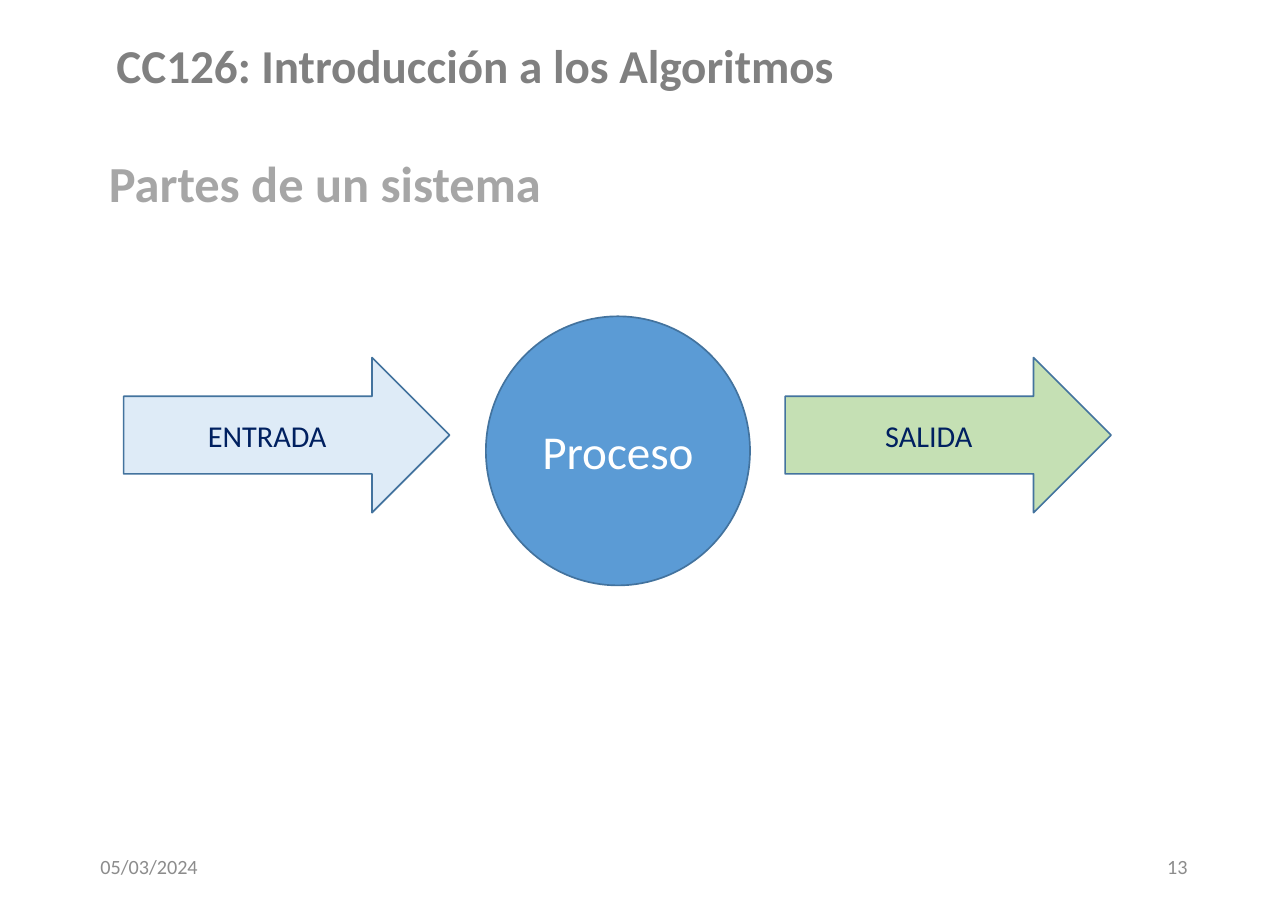
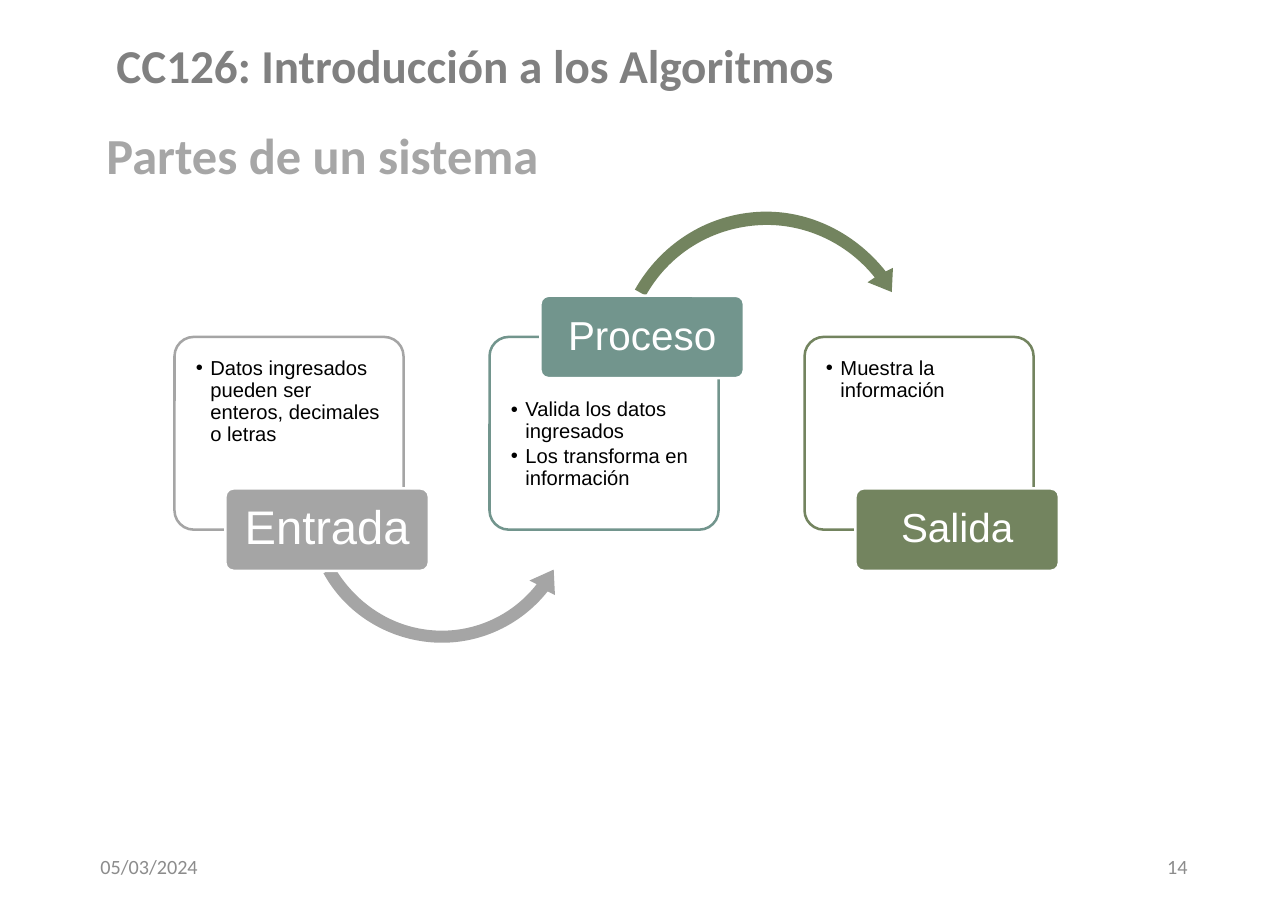
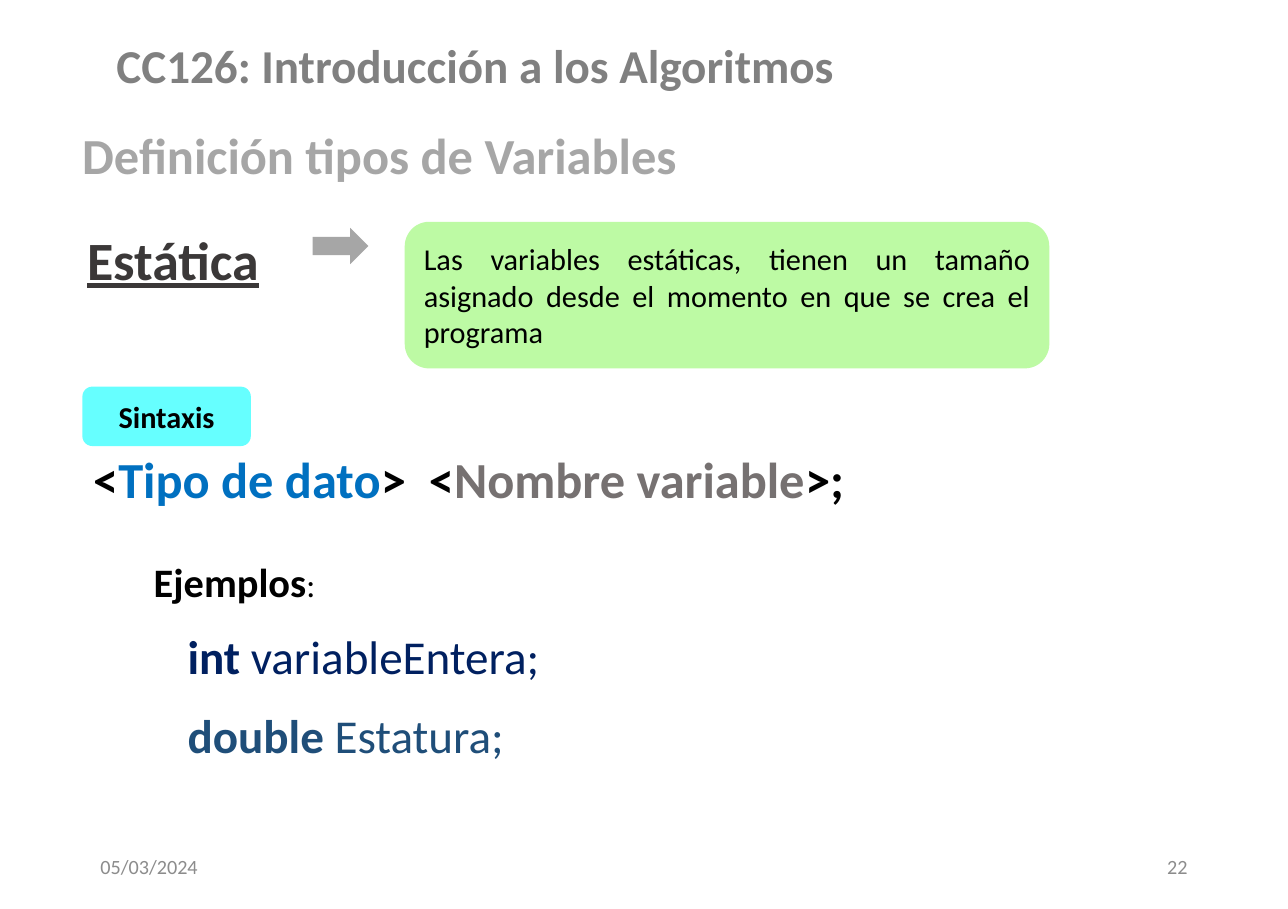
from dataclasses import dataclass
from typing import NamedTuple

from lxml import etree
from pptx import Presentation
from pptx.dml.color import RGBColor
from pptx.enum import shapes, text
from pptx.oxml import ns
from pptx.util import Inches, Pt

BLACK = RGBColor(0x00, 0x00, 0x00)
WHITE = RGBColor(0xFF, 0xFF, 0xFF)
HEAD = RGBColor(0x80, 0x80, 0x80)
TITLE = RGBColor(0xA6, 0xA6, 0xA6)
FOOT = RGBColor(0x8C, 0x8C, 0x8C)
DARK = RGBColor(0x3B, 0x38, 0x38)
NAVY = RGBColor(0x00, 0x20, 0x60)
EDGE = RGBColor(0x43, 0x73, 0x9E)
BLUE = RGBColor(0x5B, 0x9B, 0xD5)
PALE = RGBColor(0xDE, 0xEB, 0xF7)
LEAF = RGBColor(0xC5, 0xE0, 0xB4)
GREY = RGBColor(0xA5, 0xA5, 0xA5)
TEAL = RGBColor(0x72, 0x95, 0x8D)
OLIVE = RGBColor(0x73, 0x84, 0x5F)
LIME = RGBColor(0xBD, 0xFA, 0xA4)
CYAN = RGBColor(0x66, 0xFF, 0xFF)
TYPE = RGBColor(0x00, 0x70, 0xC0)
NAME = RGBColor(0x76, 0x71, 0x71)
STEEL = RGBColor(0x1F, 0x4E, 0x79)

KIND = shapes.MSO_SHAPE
ALIGN = text.PP_ALIGN
MID = text.MSO_ANCHOR.MIDDLE
TOP = text.MSO_ANCHOR.TOP


class Box(NamedTuple):
    x: float
    y: float
    w: float
    h: float


class Run(NamedTuple):
    words: str
    color: RGBColor = BLACK
    bold: bool = True
    size: float | None = None


@dataclass(frozen=True)
class Style:
    size: float
    color: RGBColor
    bold: bool = False
    align: ALIGN = ALIGN.LEFT
    face: str = "Calibri"
    line: bool = False
    lead: float = 1.0


@dataclass(frozen=True)
class Row:
    """A paragraph of mixed runs."""
    runs: list[Run]
    size: float
    left: float
    hang: float = 0
    lead: float = 0.9
    before: float = 0


@dataclass(frozen=True)
class Arc:
    """A curved arrow: single points are lines, triples are cubic curves."""
    box: Box
    color: RGBColor
    start: tuple
    steps: list[tuple]


@dataclass(frozen=True)
class Card:
    label: str
    size: float
    color: RGBColor
    notes: list[str]
    high: bool = False
    arc: Arc | None = None


TITLES = Style(30, TITLE, True, lead=0.9)
SMALL = Style(12, FOOT)

CARDS = [
    Card("Entrada", 28, GREY,
         ["Datos ingresados pueden ser enteros, decimales o letras"],
         arc=Arc(Box(2.45, 2.96, 2.38, 2.42), GREY, (2.67, 4.73), [
             ((2.76, 4.68),),
             ((2.93, 4.97), (3.22, 5.17), (3.56, 5.2)),
             ((3.89, 5.23), (4.22, 5.09), (4.43, 4.82)),
             ((4.37, 4.79),), ((4.57, 4.7),), ((4.58, 4.91),), ((4.52, 4.88),),
             ((4.29, 5.17), (3.93, 5.33), (3.56, 5.3)),
             ((3.19, 5.27), (2.85, 5.06), (2.67, 4.73))])),
    Card("Proceso", 24, TEAL,
         ["Valida los datos ingresados", "Los transforma en información"],
         high=True,
         arc=Arc(Box(5.01, 1.68, 2.62, 2.66), OLIVE, (5.24, 2.39), [
             ((5.45, 2.02), (5.82, 1.78), (6.24, 1.75)),
             ((6.65, 1.72), (7.05, 1.91), (7.31, 2.24)),
             ((7.37, 2.21),), ((7.36, 2.41),), ((7.16, 2.33),), ((7.22, 2.29),),
             ((6.98, 1.99), (6.61, 1.83), (6.24, 1.86)),
             ((5.86, 1.89), (5.52, 2.1), (5.33, 2.44))])),
    Card("Salida", 24, OLIVE, ["Muestra la información"]),
]

ROWS = [
    Row([Run("<"), Run("Tipo de dato", TYPE), Run(">  <"),
         Run("Nombre variable", NAME), Run(">;")], 30, 0.4, -0.28),
    Row([Run("Ejemplos"), Run(":", bold=False, size=20)],
        24, 0.9, -0.28, before=32),
    Row([Run("int ", NAVY), Run("variableEntera;", NAVY, False)],
        28, 0.9, lead=1.2, before=6),
    Row([Run("double", STEEL), Run(" Estatura;", STEEL, False)],
        28, 0.9, lead=1.2, before=6),
]


def indent(para, left: float, hang: float = 0) -> None:
    props = para._p.get_or_add_pPr()
    props.set("marL", str(Inches(left)))
    props.set("indent", str(Inches(hang)))


def bullet(para) -> None:
    indent(para, 0.12, -0.12)
    props = para._p.get_or_add_pPr()
    for tag, key, value in (("a:buFont", "typeface", "Arial"),
                            ("a:buChar", "char", "•")):
        mark = etree.Element(ns.qn(tag), {key: value})
        props.insert_element_before(mark, "a:tabLst", "a:defRPr", "a:extLst")


def dress(para, style: Style) -> None:
    para.alignment = style.align
    para.line_spacing = style.lead
    font = para.font
    font.name, font.size = style.face, Pt(style.size)
    font.bold, font.underline = style.bold, style.line
    font.color.rgb = style.color


def fill(shape, lines: list[str], style: Style, anchor=MID) -> list:
    """Write one paragraph per line and return the paragraphs."""
    frame = shape.text_frame
    frame.word_wrap = True
    frame.vertical_anchor = anchor
    frame.text = "\n".join(lines)
    for para in frame.paragraphs:
        dress(para, style)
    return list(frame.paragraphs)


def inset(shape, side: float, top: float) -> None:
    frame = shape.text_frame
    frame.margin_left = frame.margin_right = Inches(side)
    frame.margin_top = Inches(top)


def label(slide, box: Box, words: str, style: Style, anchor=MID):
    shape = slide.shapes.add_textbox(*map(Inches, box))
    return fill(shape, [words], style, anchor)[0]


def paint(shape, color: RGBColor, edge: RGBColor | None, width: float) -> None:
    shape.shadow.inherit = False
    shape.fill.solid()
    shape.fill.fore_color.rgb = color
    if edge is None:
        shape.line.fill.background()
    else:
        shape.line.color.rgb = edge
        shape.line.width = Pt(width)


def block(slide, kind, box: Box, color: RGBColor,
          edge: RGBColor | None = None, width: float = 1):
    shape = slide.shapes.add_shape(kind, *map(Inches, box))
    paint(shape, color, edge, width)
    return shape


def sweep(slide, arc: Arc) -> None:
    """Build a freeform over the arrow's box, then trace its true curves."""
    left, top, wide, tall = map(Inches, arc.box)
    form = slide.shapes.build_freeform(left, top)
    form.add_line_segments([(left + wide, top), (left + wide, top + tall),
                            (left, top + tall)])
    shape = form.convert_to_shape()
    trace = next(shape._element.iter(ns.qn("a:path")))
    for old in list(trace):
        trace.remove(old)

    def put(tag: str, dots: tuple) -> None:
        move = etree.SubElement(trace, ns.qn(tag))
        for x, y in dots:
            etree.SubElement(move, ns.qn("a:pt"), x=str(Inches(x) - left),
                             y=str(Inches(y) - top))

    put("a:moveTo", (arc.start,))
    for step in arc.steps:
        put("a:cubicBezTo" if len(step) == 3 else "a:lnTo", step)
    put("a:close", ())
    paint(shape, arc.color, None, 0)


def page(deck, title: str, x: float, y: float, number: int):
    """Add a slide with the course heading, its title and the footers."""
    slide = deck.slides.add_slide(deck.slide_layouts[6])
    label(slide, Box(0.56, 0.11, 6.72, 0.85),
          "CC126: Introducción a los Algoritmos",
          Style(28, HEAD, True, ALIGN.CENTER))
    indent(label(slide, Box(x, y, 6.82, 0.67), title, TITLES, TOP), 0.07)
    label(slide, Box(0.73, 6.95, 2.39, 0.4), "05/03/2024", SMALL)
    foot = label(slide, Box(7.51, 6.95, 2.39, 0.4), str(number), SMALL)
    foot.alignment = ALIGN.RIGHT
    return slide


def system(deck) -> None:
    slide = page(deck, "Partes de un sistema", 0.73, 1.26, 13)
    for x, words, color in ((1.02, "ENTRADA", PALE), (6.48, "SALIDA", LEAF)):
        arrow = block(slide, KIND.RIGHT_ARROW, Box(x, 2.95, 2.69, 1.28), color, EDGE)
        fill(arrow, [words], Style(18, NAVY, align=ALIGN.CENTER))
    disc = block(slide, KIND.OVAL, Box(4.01, 2.61, 2.18, 2.22), BLUE, EDGE)
    fill(disc, ["Proceso"], Style(28, WHITE, align=ALIGN.CENTER))


def draw(slide, card: Card, x: float) -> None:
    frame = block(slide, KIND.ROUNDED_RECTANGLE, Box(x, 2.78, 1.89, 1.59),
                  WHITE, card.color, 1.5)
    frame.adjustments[0] = 0.1
    inset(frame, 0.13, 0.47 if card.high else 0.13)
    notes = fill(frame, card.notes, Style(12, BLACK, face="Arial", lead=0.9), TOP)
    for i, para in enumerate(notes):
        bullet(para)
        para.space_before = Pt(1.8 if i else 0)
    if card.arc:
        sweep(slide, card.arc)
    badge = block(slide, KIND.ROUNDED_RECTANGLE,
                  Box(x + 0.42, 2.44 if card.high else 4.03, 1.68, 0.68),
                  card.color, WHITE, 1.5)
    badge.adjustments[0] = 0.1
    inset(badge, 0.05, 0.05)
    fill(badge, [card.label],
         Style(card.size, WHITE, align=ALIGN.CENTER, face="Arial", lead=0.9))


def stages(deck) -> None:
    slide = page(deck, "Partes de un sistema", 0.71, 1.03, 14)
    for i, card in enumerate(CARDS):
        draw(slide, card, 1.44 + 2.6 * i)


def write(frame, rows: list[Row]) -> None:
    frame.word_wrap = True
    for i, row in enumerate(rows):
        para = frame.add_paragraph() if i else frame.paragraphs[0]
        para.font.name, para.font.size = "Calibri", Pt(row.size)
        para.line_spacing, para.space_before = row.lead, Pt(row.before)
        indent(para, row.left, row.hang)
        for item in row.runs:
            run = para.add_run()
            run.text = item.words
            run.font.bold = item.bold
            run.font.color.rgb = item.color
            if item.size:
                run.font.size = Pt(item.size)


def types(deck) -> None:
    slide = page(deck, "Definición tipos de Variables", 0.51, 1.03, 22)
    code = slide.shapes.add_textbox(*map(Inches, Box(0.55, 3.7, 8.18, 2.95)))
    write(code.text_frame, ROWS)
    kind = label(slide, Box(0.55, 1.88, 2.03, 0.44), "Estática",
                 Style(32, DARK, True, line=True, lead=0.9), TOP)
    indent(kind, 0.07)
    note = block(slide, KIND.ROUNDED_RECTANGLE, Box(3.34, 1.83, 5.32, 1.21), LIME)
    fill(note, ["Las variables estáticas, tienen un tamaño asignado desde "
                "el momento en que se crea el programa"],
         Style(18, BLACK, align=ALIGN.JUSTIFY))
    block(slide, KIND.RIGHT_ARROW, Box(2.58, 1.88, 0.46, 0.3), TITLE)
    tag = block(slide, KIND.ROUNDED_RECTANGLE, Box(0.68, 3.19, 1.39, 0.49), CYAN)
    fill(tag, ["Sintaxis"], Style(18, BLACK, True, ALIGN.CENTER))


def main() -> None:
    deck = Presentation()
    deck.slide_width, deck.slide_height = Inches(10.63), Inches(7.5)
    system(deck)
    stages(deck)
    types(deck)
    deck.save("out.pptx")


if __name__ == "__main__":
    main()
